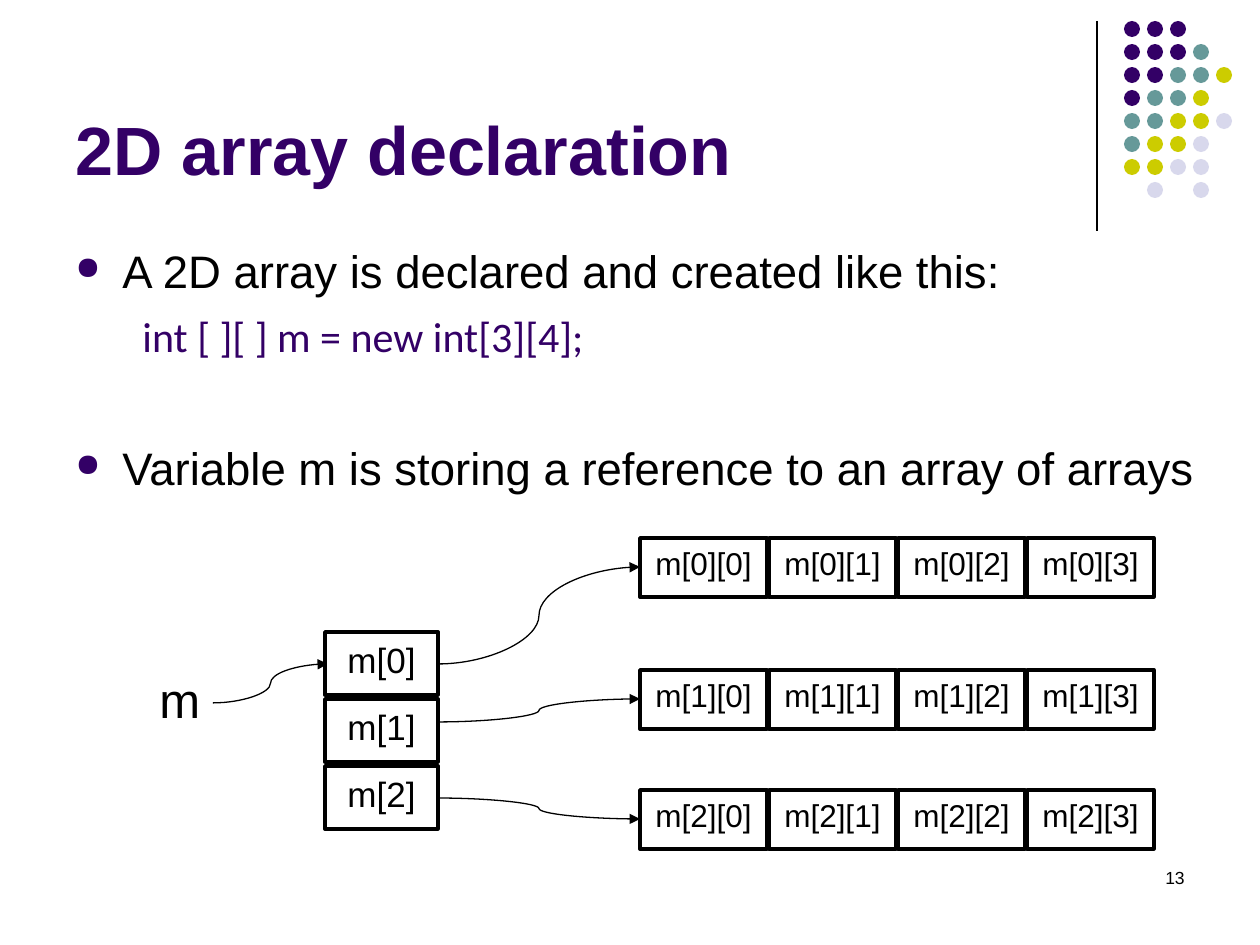
from dataclasses import dataclass
from typing import Any

from lxml import etree
from pptx import Presentation
from pptx.dml.color import RGBColor
from pptx.enum.shapes import MSO_CONNECTOR, MSO_SHAPE
from pptx.enum.text import MSO_ANCHOR, PP_ALIGN
from pptx.oxml.ns import qn
from pptx.slide import Slide
from pptx.util import Emu, Pt

PX_PER_INCH = 126
EMU_PER_INCH = 914400
STRAIGHT, CURVE = MSO_CONNECTOR.STRAIGHT, MSO_CONNECTOR.CURVE
RECTANGLE, OVAL = MSO_SHAPE.RECTANGLE, MSO_SHAPE.OVAL
TOP, BOTTOM = MSO_ANCHOR.TOP, MSO_ANCHOR.BOTTOM
LEFT, CENTER, RIGHT = PP_ALIGN.LEFT, PP_ALIGN.CENTER, PP_ALIGN.RIGHT

COLORS = {
    "black": "000000",
    "white": "FFFFFF",
    "purple": "330066",
    "teal": "669999",
    "olive": "CCCC00",
    "lavender": "D8D8EC",
}

DOT_COLORS = {"P": "purple", "T": "teal", "O": "olive", "L": "lavender"}
DOT_ROWS = ("PPP", "PPPT", "PPTTO", "PTTO", "TTOOL", "TOOL", "OOLL", " L L")
DOT_PITCH, DOT_SIZE = 23, 16

REFERENCE_LEFT, REFERENCE_TOP, REFERENCE_PITCH = 325, 632, 67
REFERENCE_WIDTH, REFERENCE_HEIGHT = 113, 63
ELEMENT_LEFT, ELEMENT_PITCH = 640, 129
ELEMENT_WIDTH, ELEMENT_HEIGHT = 127, 59
ROW_TOPS = (538, 670, 790)
REFERENCE_EXITS = (664, 722, 798)


@dataclass(frozen=True)
class Box:
    left: int
    top: int
    width: int
    height: int


@dataclass(frozen=True)
class Line:
    text: str
    size: int
    color: str = "black"
    face: str = "Arial"
    bold: bool = False
    align: Any = LEFT
    before: float = 0
    margin: int = 0
    bullet: bool = False


@dataclass(frozen=True)
class Label:
    box: Box
    lines: tuple[Line, ...]
    anchor: Any = TOP


BODY = (
    Line("A 2D array is declared and created like this:", 26,
         before=7.5, margin=47, bullet=True),
    Line("int [ ][ ] m = new int[3][4];", 24, "purple", "Calibri",
         before=7.5, margin=67),
    Line("Variable m is storing a reference to an array of arrays", 26,
         before=45, margin=47, bullet=True),
)
LABELS = (
    Label(Box(903, 861, 294, 63), (Line("13", 10, align=RIGHT),)),
    Label(Box(63, 16, 1040, 179),
          (Line("2D array declaration", 39, "purple", bold=True),), BOTTOM),
    Label(Box(63, 237, 1155, 607), BODY),
    Label(Box(147, 663, 76, 72), (Line("m", 28),)),
)


def px(length: int) -> Emu:
    return Emu(round(length * EMU_PER_INCH / PX_PER_INCH))


def rgb(color: str) -> RGBColor:
    return RGBColor.from_string(COLORS[color])


def apply_format(target: Any, values: dict[str, Any]) -> None:
    for attribute, value in values.items():
        setattr(target, attribute, value)


def add_bullet(properties: Any) -> None:
    tint = etree.SubElement(properties, qn("a:buClr"))
    etree.SubElement(tint, qn("a:srgbClr"), val=COLORS["purple"])
    etree.SubElement(properties, qn("a:buSzPct"), val="70000")
    etree.SubElement(properties, qn("a:buChar"), char="●")


def write_lines(frame: Any, lines: tuple[Line, ...], anchor: Any = TOP) -> None:
    apply_format(frame, {"word_wrap": True, "vertical_anchor": anchor})
    for index, line in enumerate(lines):
        paragraph = frame.add_paragraph() if index else frame.paragraphs[0]
        apply_format(paragraph, {"alignment": line.align,
                                 "space_before": Pt(line.before)})
        properties = paragraph._p.get_or_add_pPr()
        properties.set("marL", str(px(line.margin)))
        properties.set("indent", str(px(-line.margin if line.bullet else 0)))
        if line.bullet:
            add_bullet(properties)
        run = paragraph.add_run()
        run.text = line.text
        apply_format(run.font, {"name": line.face, "size": Pt(line.size),
                                "bold": line.bold})
        run.font.color.rgb = rgb(line.color)


def draw_shape(slide: Slide, preset: Any, box: Box, fill: str) -> Any:
    shape = slide.shapes.add_shape(
        preset, px(box.left), px(box.top), px(box.width), px(box.height))
    shape.shadow.inherit = False
    shape.fill.solid()
    shape.fill.fore_color.rgb = rgb(fill)
    shape.line.fill.background()
    return shape


def draw_cell(slide: Slide, box: Box, text: str, size: int) -> None:
    cell = draw_shape(slide, RECTANGLE, box, "white")
    cell.line.color.rgb = rgb("black")
    cell.line.width = Pt(2)
    write_lines(cell.text_frame, (Line(text, size, align=CENTER),))


def draw_line(slide: Slide, kind: Any, start: tuple[int, int],
              end: tuple[int, int], arrow: bool = False) -> None:
    connector = slide.shapes.add_connector(
        kind, *(px(value) for value in start + end))
    connector.line.color.rgb = rgb("black")
    connector.line.width = Pt(0.75)
    if arrow:
        etree.SubElement(connector.line._get_or_add_ln(),
                         qn("a:tailEnd"), type="triangle")
    etree.SubElement(connector._element.spPr, qn("a:effectLst"))


def draw_label(slide: Slide, label: Label) -> None:
    box = label.box
    holder = slide.shapes.add_textbox(
        px(box.left), px(box.top), px(box.width), px(box.height))
    write_lines(holder.text_frame, label.lines, label.anchor)


def draw_dots(slide: Slide) -> None:
    for row, codes in enumerate(DOT_ROWS):
        for column, code in enumerate(codes):
            if code in DOT_COLORS:
                spot = Box(1124 + column * DOT_PITCH, 21 + row * DOT_PITCH,
                           DOT_SIZE, DOT_SIZE)
                draw_shape(slide, OVAL, spot, DOT_COLORS[code])


def draw_arrays(slide: Slide) -> None:
    draw_line(slide, CURVE, (213, 703), (328, 664), arrow=True)
    for row, (top, exit_y) in enumerate(zip(ROW_TOPS, REFERENCE_EXITS)):
        reference = Box(REFERENCE_LEFT, REFERENCE_TOP + row * REFERENCE_PITCH,
                        REFERENCE_WIDTH, REFERENCE_HEIGHT)
        draw_cell(slide, reference, f"m[{row}]", 20)
        for column in range(4):
            element = Box(ELEMENT_LEFT + column * ELEMENT_PITCH, top,
                          ELEMENT_WIDTH, ELEMENT_HEIGHT)
            draw_cell(slide, element, f"m[{row}][{column}]", 18)
        draw_line(slide, CURVE, (REFERENCE_LEFT + REFERENCE_WIDTH, exit_y),
                  (ELEMENT_LEFT, top + ELEMENT_HEIGHT // 2), arrow=True)


def main() -> None:
    deck = Presentation()
    apply_format(deck, {"slide_width": px(1260), "slide_height": px(945)})
    slide = deck.slides.add_slide(deck.slide_layouts[6])
    draw_line(slide, STRAIGHT, (1097, 21), (1097, 231))
    draw_dots(slide)
    for label in LABELS:
        draw_label(slide, label)
    draw_arrays(slide)
    deck.save("out.pptx")


if __name__ == "__main__":
    main()
